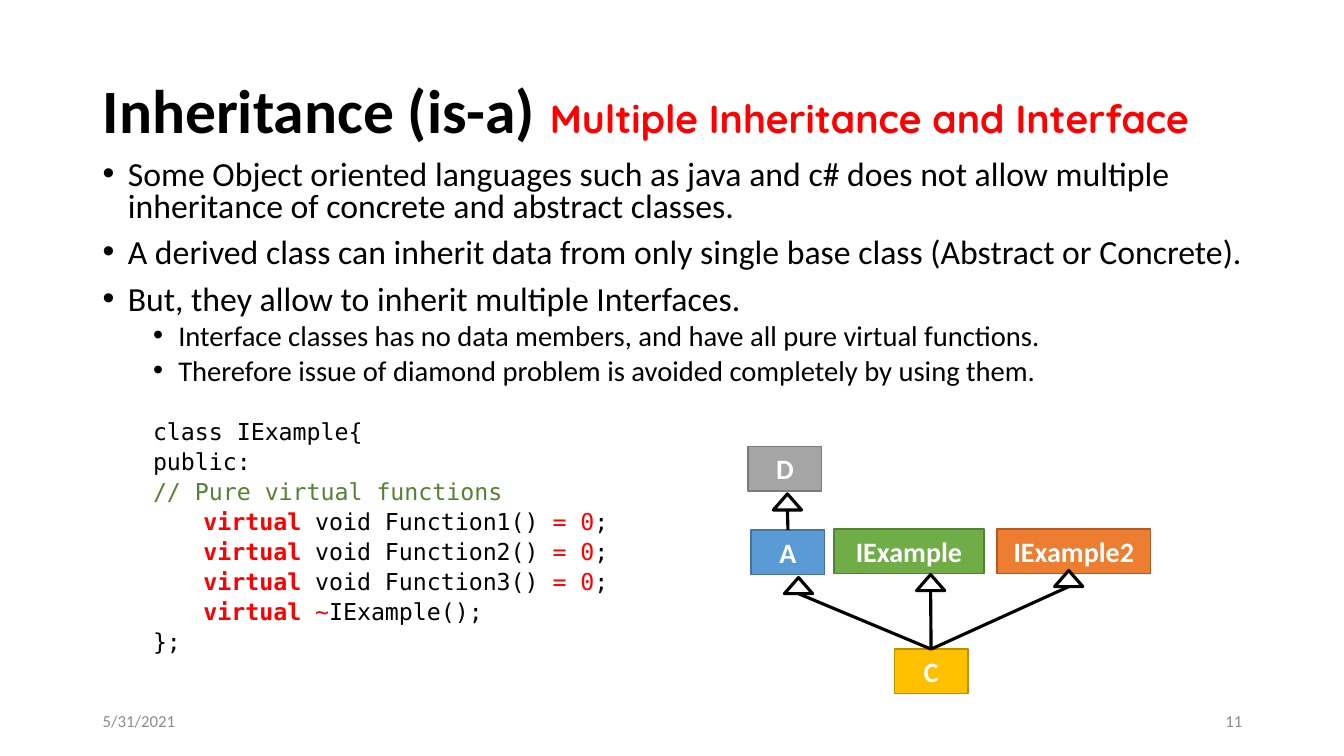
from lxml import etree
from pptx import Presentation, util as u
from pptx.dml.color import RGBColor
from pptx.enum import shapes, text
from pptx.oxml.ns import qn

WIDTH, HEIGHT = 13.33, 7.5
MARGIN = 0.92
BLACK, WHITE, RED, GREEN, GREY = "000000", "FFFFFF", "FF0000", "548235", "8C8C8C"
SANS, MONO, DISPLAY = "Calibri", "DejaVu Sans Mono", "Quicksand"

TITLE = [("Inheritance (is-a) ", SANS, 44, BLACK),
         ("Multiple Inheritance and Interface", DISPLAY, 28, RED)]
BULLETS = [
    (0, "Some Object oriented languages such as java and c# does not allow multiple "
        "inheritance of concrete and abstract classes."),
    (0, "A derived class can inherit data from only single base class (Abstract or Concrete)."),
    (0, "But, they allow to inherit multiple Interfaces."),
    (1, "Interface classes has no data members, and have all pure virtual functions."),
    (1, "Therefore issue of diamond problem is avoided completely by using them."),
]
BULLET_STYLES = [(0.25, 24.1, 10), (0.75, 20.4, 5)]
FUNCTIONS = [[("virtual ", RED, True), (f"void Function{number}() ", BLACK, False),
              ("= 0", RED, False), (";", BLACK, False)] for number in (1, 2, 3)]
CODE = [
    (0.5, [("class IExample{", BLACK, False)]),
    (0.5, [("public:", BLACK, False)]),
    (0.5, [("// Pure virtual functions", GREEN, False)]),
    *[(1, function) for function in FUNCTIONS],
    (1, [("virtual", RED, True), (" ~", RED, False), ("IExample();", BLACK, False)]),
    (0.5, [("};", BLACK, False)]),
]
CODE_SIZE, CODE_GAP, BLOCK_GAP = 16.6, 5.4, 26

BOX_HEIGHT, SMALL_BOX = 0.44, 0.73
CLASSES = [
    ("IExample2", 9.89, 5.25, 1.52, "ED7D31", "AF5C24"),
    ("A", 7.45, 5.26, SMALL_BOX, "5B9BD5", "43739E"),
    ("IExample", 8.27, 5.25, 1.49, "70AD47", "538035"),
    ("C", 8.87, 6.44, SMALL_BOX, "FFC000", "BD8E00"),
    ("D", 7.42, 4.43, SMALL_BOX, "A5A5A5", "7A7A7A"),
]
TOPS = {name: (left + width / 2, top) for name, left, top, width, *_ in CLASSES}
HEAD_WIDTH, HEAD_HEIGHT = 0.28, 0.16
INHERITANCE = [("C", 7.92, 5.73), ("C", 9.23, 5.7), ("A", 7.81, 4.9), ("C", 10.6, 5.66)]

presentation = Presentation()
presentation.slide_width, presentation.slide_height = u.Inches(WIDTH), u.Inches(HEIGHT)
slide = presentation.slides.add_slide(presentation.slide_layouts[6])


def color(value):
    return RGBColor.from_string(value)


def style(font, name, size, value, bold=False):
    font.name, font.size, font.bold = name, u.Pt(size), bold
    font.color.rgb = color(value)


def add_text(left, top, width, height, anchor=text.MSO_ANCHOR.MIDDLE):
    frame = slide.shapes.add_textbox(*map(u.Inches, (left, top, width, height))).text_frame
    frame.word_wrap = True
    frame.vertical_anchor = anchor
    return frame


def add_run(paragraph, words):
    run = paragraph.add_run()
    run.text = words
    return run


def indent(paragraph, margin, bullet=False):
    properties = paragraph._p.get_or_add_pPr()
    properties.set("marL", str(u.Inches(margin)))
    properties.set("indent", str(u.Inches(-0.25 if bullet else 0)))
    if bullet:
        font = etree.SubElement(properties, qn("a:buFont"))
        font.set("typeface", "Arial")
        etree.SubElement(properties, qn("a:buChar")).set("char", "•")


def add_shape(kind, left, top, width, height, fill, line, weight):
    shape = slide.shapes.add_shape(kind, *map(u.Inches, (left, top, width, height)))
    shape.shadow.inherit = False
    shape.fill.solid()
    shape.fill.fore_color.rgb = color(fill)
    shape.line.color.rgb = color(line)
    shape.line.width = u.Pt(weight)
    return shape


def add_body():
    frame = add_text(MARGIN, 1.54, 11.76, 5.15, text.MSO_ANCHOR.TOP)
    for index, (level, words) in enumerate(BULLETS):
        paragraph = frame.add_paragraph() if index else frame.paragraphs[0]
        margin, size, gap = BULLET_STYLES[level]
        paragraph.line_spacing = 0.8
        if index:
            paragraph.space_before = u.Pt(gap)
        indent(paragraph, margin, True)
        add_run(paragraph, words)
        style(paragraph.font, SANS, size, BLACK)
    for index, (margin, pieces) in enumerate(CODE):
        paragraph = frame.add_paragraph()
        paragraph.line_spacing = 0.8
        paragraph.space_before = u.Pt(CODE_GAP if index else BLOCK_GAP)
        indent(paragraph, margin)
        for words, value, bold in pieces:
            style(add_run(paragraph, words).font, MONO, CODE_SIZE, value, bold)


def add_footer(left, words, alignment):
    paragraph = add_text(left, 6.95, 3, 0.4).paragraphs[0]
    paragraph.alignment = alignment
    add_run(paragraph, words)
    style(paragraph.font, SANS, 12, GREY)


def add_title():
    paragraph = add_text(MARGIN, 0.4, 11.5, 1.45).paragraphs[0]
    paragraph.line_spacing = 0.9
    for words, name, size, value in TITLE:
        style(add_run(paragraph, words).font, name, size, value, True)


def add_class(name, left, top, width, fill, line):
    shape = add_shape(shapes.MSO_SHAPE.RECTANGLE, left, top, width, BOX_HEIGHT, fill, line, 1)
    frame = shape.text_frame
    frame.word_wrap = True
    frame.vertical_anchor = text.MSO_ANCHOR.MIDDLE
    paragraph = frame.paragraphs[0]
    paragraph.alignment = text.PP_ALIGN.CENTER
    add_run(paragraph, name)
    style(paragraph.font, SANS, 20, WHITE, True)


def add_inheritance(child, center, top):
    add_shape(shapes.MSO_SHAPE.ISOSCELES_TRIANGLE, center - HEAD_WIDTH / 2, top,
              HEAD_WIDTH, HEAD_HEIGHT, WHITE, BLACK, 2.25)
    ends = (*TOPS[child], center, top + HEAD_HEIGHT)
    line = slide.shapes.add_connector(shapes.MSO_CONNECTOR.STRAIGHT, *map(u.Inches, ends))
    line.line.color.rgb = color(BLACK)
    line.line.width = u.Pt(2.25)
    etree.SubElement(line._element.spPr, qn("a:effectLst"))


add_body()
add_footer(MARGIN, "5/31/2021", text.PP_ALIGN.LEFT)
add_footer(9.42, "11", text.PP_ALIGN.RIGHT)
add_title()
for box in CLASSES:
    add_class(*box)
for relation in INHERITANCE:
    add_inheritance(*relation)
presentation.save("out.pptx")
